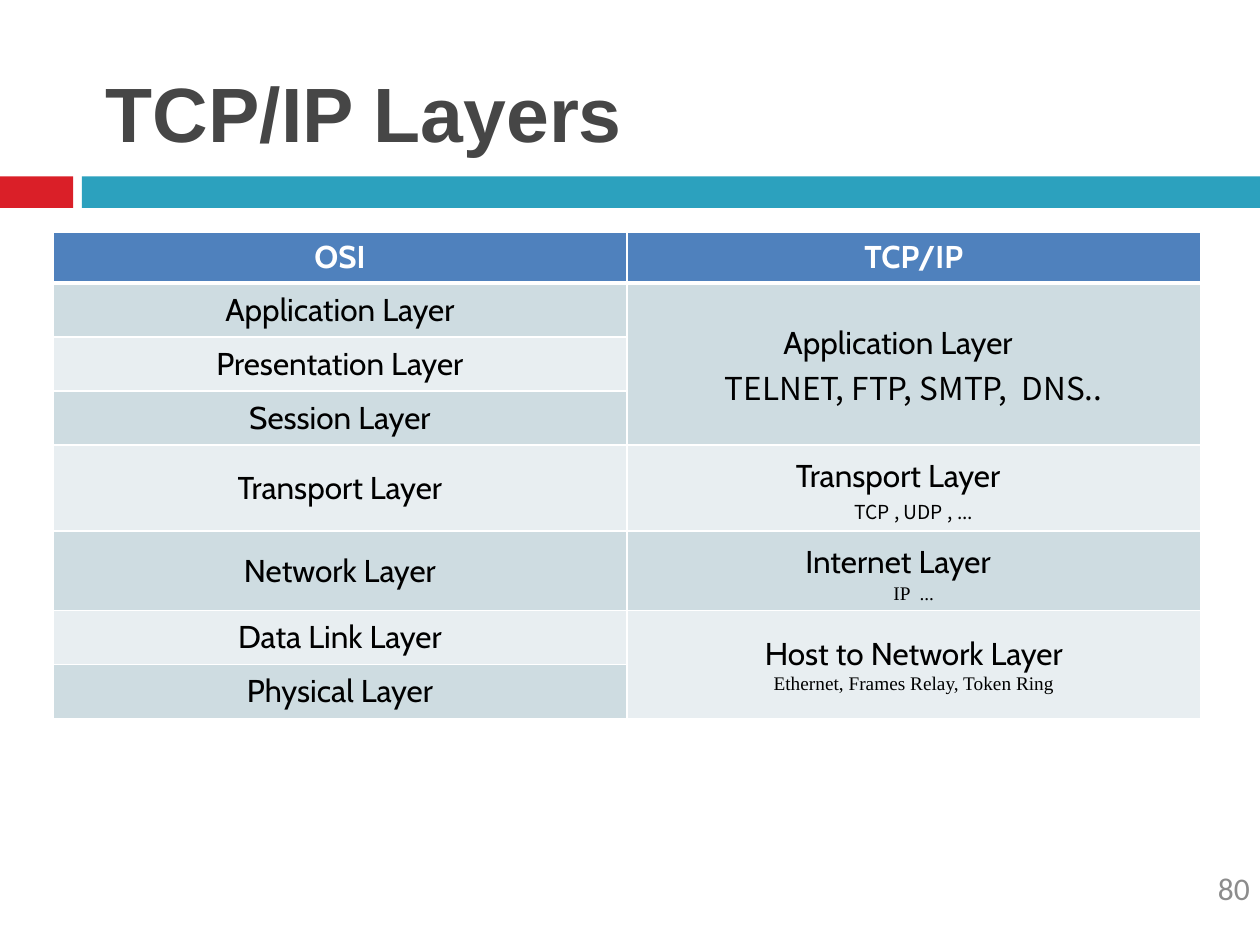
from dataclasses import dataclass
from typing import NamedTuple

from lxml.etree import SubElement
from pptx import Presentation
from pptx.dml.color import RGBColor
from pptx.enum.shapes import MSO_SHAPE
from pptx.enum.text import MSO_ANCHOR, MSO_AUTO_SIZE, PP_ALIGN
from pptx.oxml.ns import qn
from pptx.util import Inches, Pt

WIDE, HIGH = Inches(10), Inches(7.5)


@dataclass(frozen=True)
class Theme:
    red: str = "DA1F28"
    teal: str = "2CA1BE"
    blue: str = "4F81BD"
    dark: str = "CEDCE1"
    pale: str = "E8EEF1"
    ink: str = "464646"
    gray: str = "8C8C8C"
    black: str = "000000"
    white: str = "FFFFFF"
    big: int = 44
    text: int = 18
    small: int = 11
    thin: int = 1
    thick: int = 3


T = Theme()


class Box(NamedTuple):
    """Left, top, width and height in percent of the slide."""
    x: float
    y: float
    w: float
    h: float

    def size(self) -> tuple:
        return across(self.x), down(self.y), across(self.w), down(self.h)


class Line(NamedTuple):
    text: str
    size: int = T.text
    face: str = "Cabin"
    color: str = T.black
    bold: bool = False


class Layer(NamedTuple):
    row: int
    col: int
    fill: str
    lines: tuple
    span: int = 1


def across(share: float) -> int:
    return round(WIDE * share / 100)


def down(share: float) -> int:
    return round(HIGH * share / 100)


def write(frame, lines: tuple, align) -> None:
    for i, line in enumerate(lines):
        para = frame.paragraphs[0] if i == 0 else frame.add_paragraph()
        para.text, para.alignment = line.text, align
        font = para.font
        font.size, font.name, font.bold = Pt(line.size), line.face, line.bold
        font.color.rgb = RGBColor.from_string(line.color)


def bar(slide, box: Box, color: str) -> None:
    shape = slide.shapes.add_shape(MSO_SHAPE.RECTANGLE, *box.size())
    shape.shadow.inherit = False
    shape.fill.solid()
    shape.fill.fore_color.rgb = RGBColor.from_string(color)
    shape.line.fill.background()


def edge(cell, row: int) -> None:
    """White cell borders, thick below the header."""
    props = cell._tc.get_or_add_tcPr()
    heavy = {0: "lnB", 1: "lnT"}.get(row)
    for i, side in enumerate(("lnL", "lnR", "lnT", "lnB")):
        width = T.thick if side == heavy else T.thin
        line = SubElement(props, qn(f"a:{side}"), w=str(Pt(width)))
        fill = SubElement(line, qn("a:solidFill"))
        SubElement(fill, qn("a:srgbClr"), val=T.white)
        props.insert(i, line)


def fill_cell(table, layer: Layer) -> None:
    cell = table.cell(layer.row, layer.col)
    if layer.span > 1:
        cell.merge(table.cell(layer.row + layer.span - 1, layer.col))
    for row in range(layer.row, layer.row + layer.span):
        part = table.cell(row, layer.col)
        edge(part, row)
        part.fill.solid()
        part.fill.fore_color.rgb = RGBColor.from_string(layer.fill)
    cell.vertical_anchor = MSO_ANCHOR.MIDDLE
    write(cell.text_frame, layer.lines, PP_ALIGN.CENTER)


# Table content
HEADS = ("OSI", "TCP/IP")
OSI = ("Application Layer", "Presentation Layer", "Session Layer",
       "Transport Layer", "Network Layer", "Data Link Layer", "Physical Layer")
CJK, TIMES = "Noto Sans CJK TC", "Times New Roman"
STACK = (
    Layer(1, 1, T.dark, (Line("Application Layer　"),
                         Line("TELNET, FTP, SMTP,  DNS..", face=CJK)), 3),
    Layer(4, 1, T.pale, (Line("Transport Layer　"),
                         Line("TCP , UDP , ...", T.small, CJK))),
    Layer(5, 1, T.dark, (Line("Internet Layer　"),
                         Line("IP  ...", T.small, TIMES))),
    Layer(6, 1, T.pale, (Line("Host to Network Layer"),
                         Line("Ethernet, Frames Relay, Token Ring",
                              T.small, TIMES)), 2),
)
ROWS = (5.2, *[5.71] * 3, 9.1, 8.4, *[5.71] * 2)
GRID = Box(4.2, 24.55, 91.1, sum(ROWS))


def add_grid(slide) -> None:
    shape = slide.shapes.add_table(len(ROWS), len(HEADS), *GRID.size())
    table = shape.table
    for row, share in zip(table.rows, ROWS):
        row.height = down(share)
    for col, head in enumerate(HEADS):
        line = Line(head, color=T.white, bold=True)
        fill_cell(table, Layer(0, col, T.blue, (line,)))
    for row, name in enumerate(OSI, 1):
        tint = T.dark if row % 2 else T.pale
        fill_cell(table, Layer(row, 0, tint, (Line(name),)))
    for layer in STACK:
        fill_cell(table, layer)


def main() -> None:
    deck = Presentation()
    deck.slide_width, deck.slide_height = WIDE, HIGH
    slide = deck.slides.add_slide(deck.slide_layouts[5])

    # Band under the title
    bar(slide, Box(0, 18.67, 5.8, 3.33), T.red)
    bar(slide, Box(6.5, 18.67, 93.5, 3.33), T.teal)

    # Title
    title = slide.shapes.title
    title.left, title.top, title.width, title.height = Box(
        7.4, 5.33, 85.2, 10.13).size()
    frame = title.text_frame
    frame.auto_size = MSO_AUTO_SIZE.NONE
    frame.vertical_anchor = MSO_ANCHOR.TOP
    frame.margin_top = Inches(0.12)
    write(frame, (Line("TCP/IP Layers", T.big, "Arial", T.ink, True),),
          PP_ALIGN.LEFT)

    # Layer table
    add_grid(slide)

    # Page number
    frame = slide.shapes.add_textbox(*Box(94.2, 92, 5, 6.93).size()).text_frame
    frame.word_wrap = True
    frame.margin_left = frame.margin_right = 0
    frame.margin_top = frame.margin_bottom = 0
    write(frame, (Line("80", face="Calibri", color=T.gray),), PP_ALIGN.RIGHT)

    deck.save("out.pptx")


if __name__ == "__main__":
    main()
